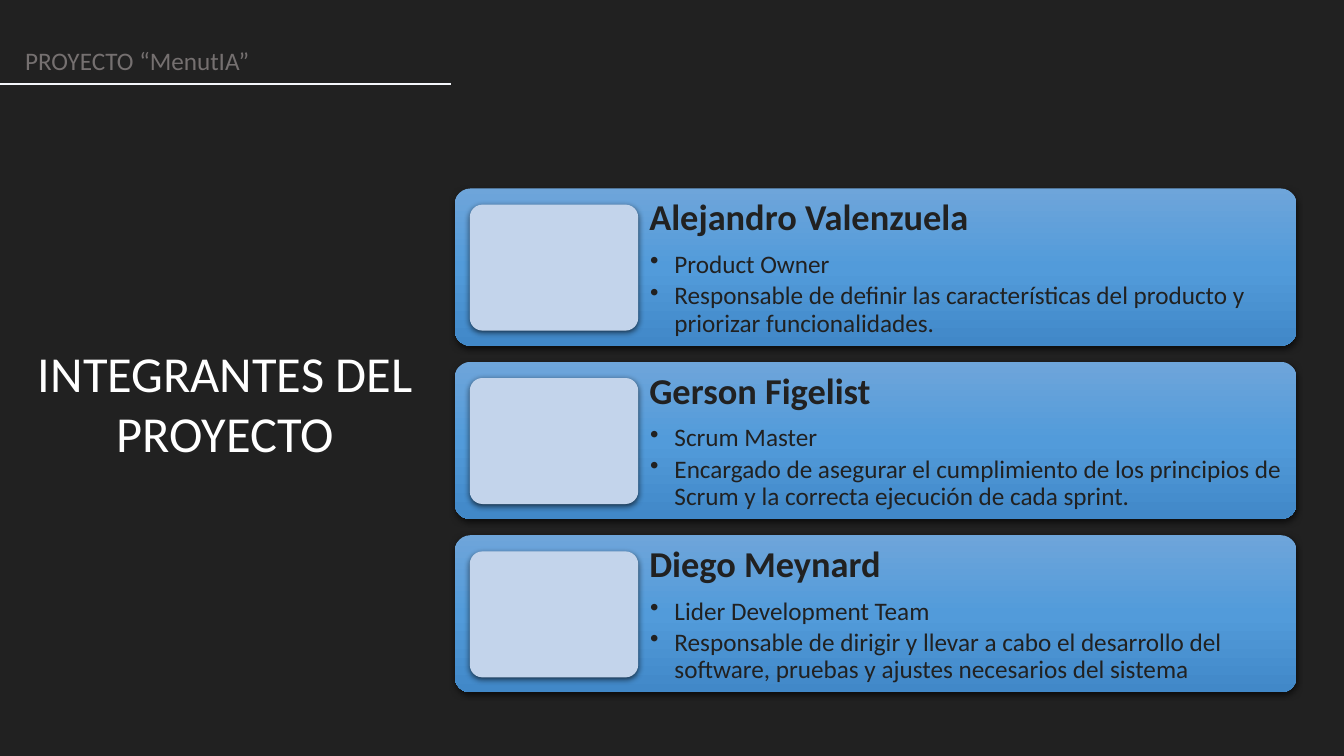
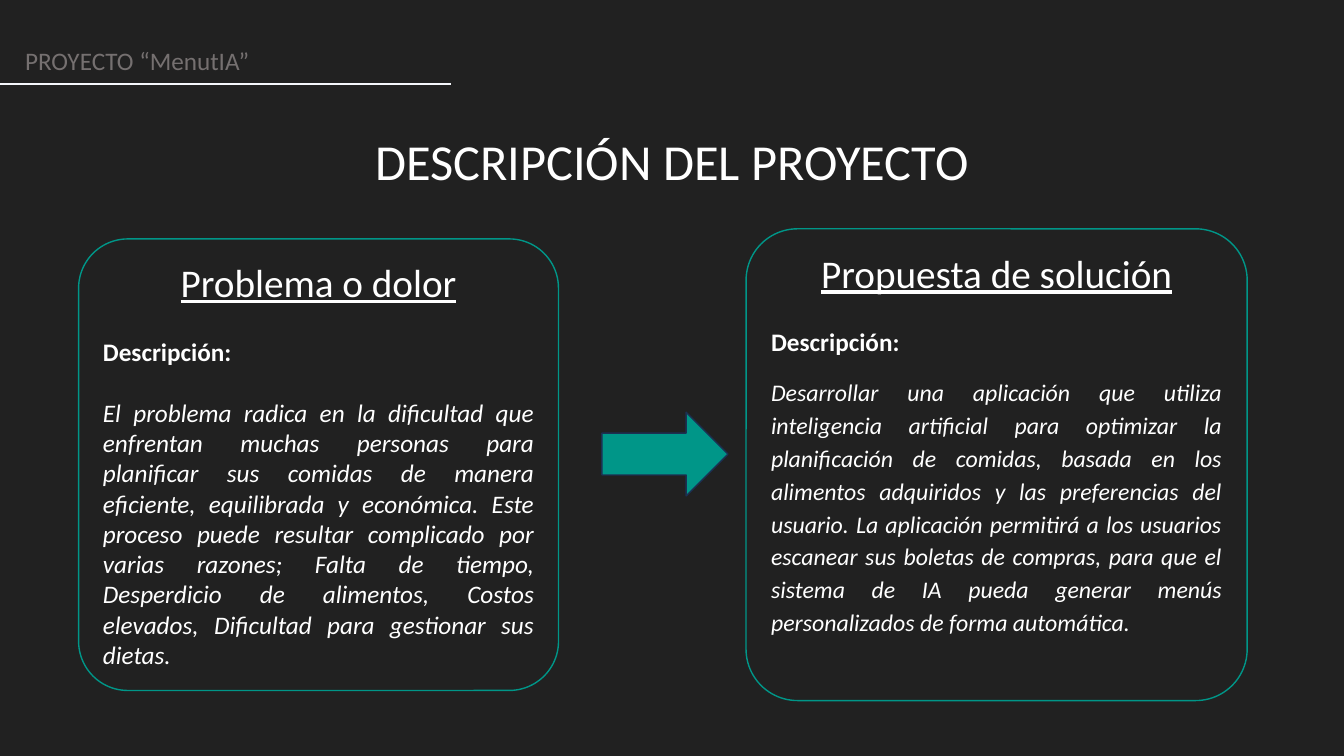
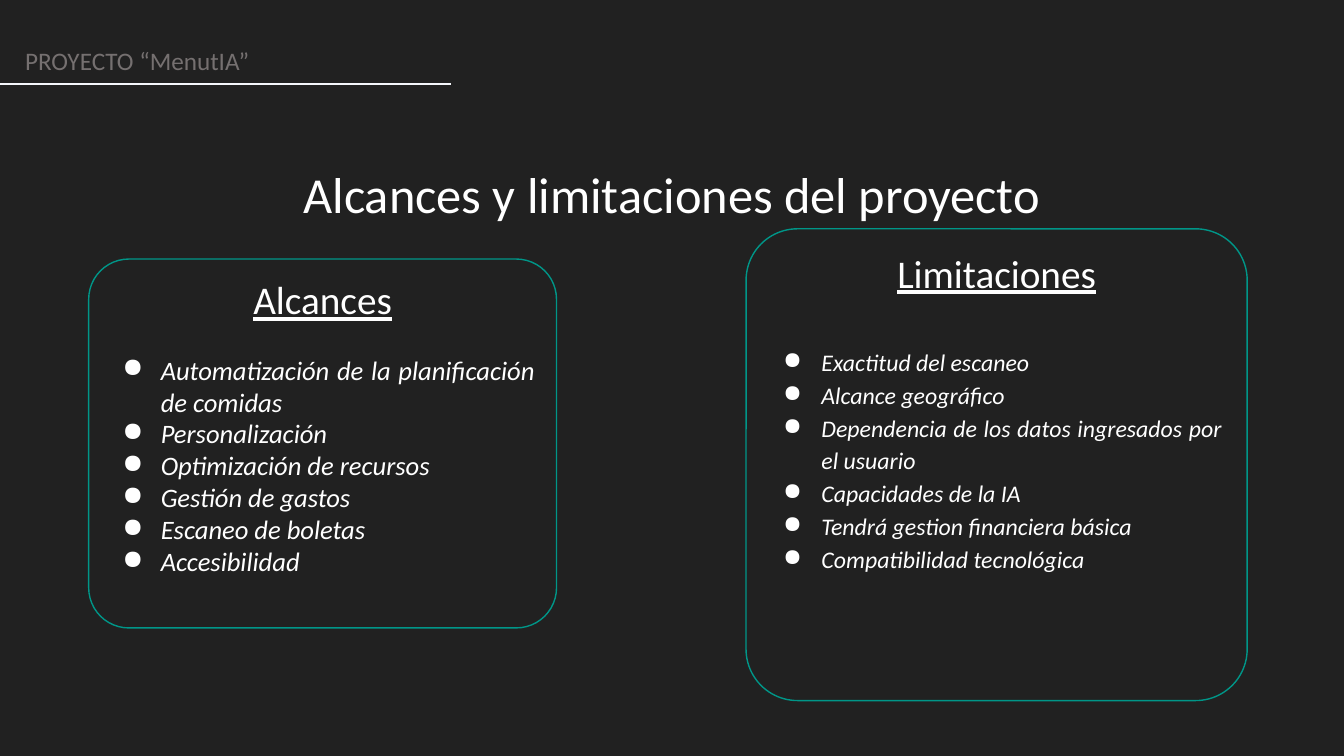
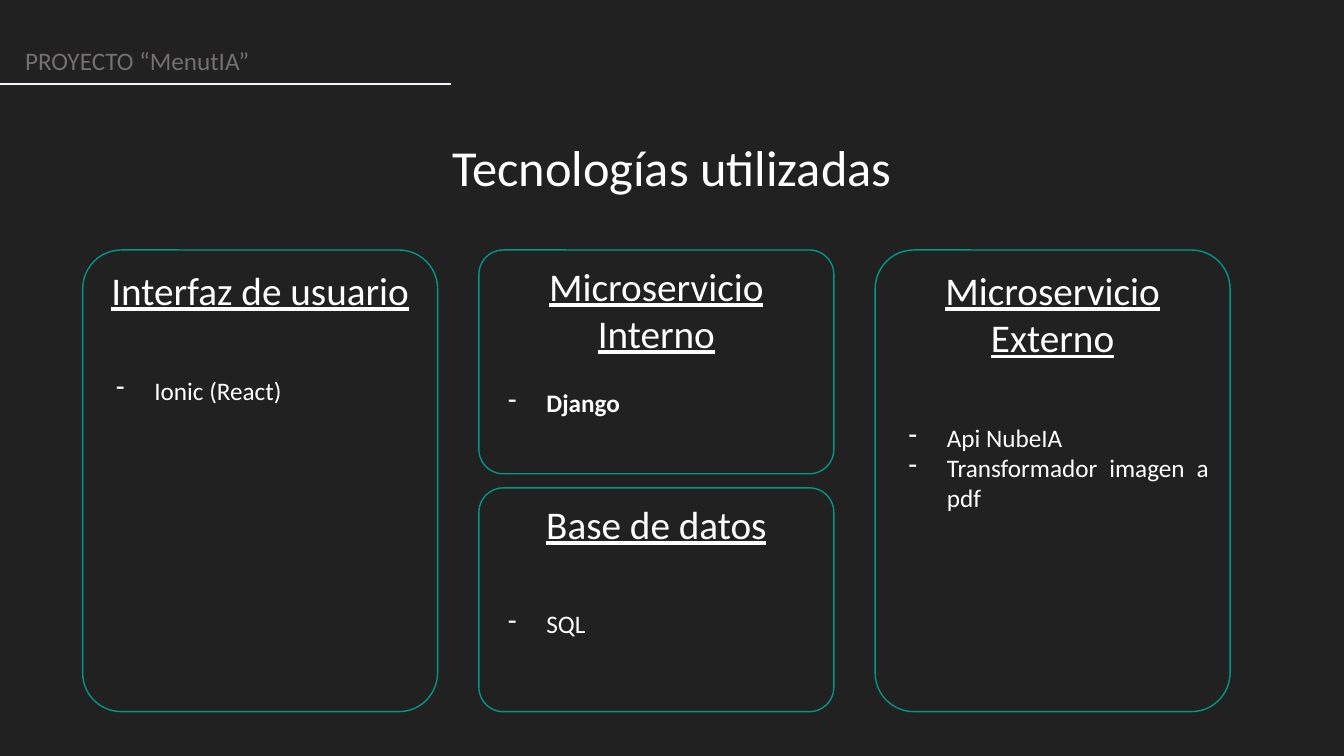
"""Build the four project slides: team, description, scope and technologies."""
from copy import deepcopy

from pptx import Presentation
from pptx import util as u
from pptx.dml.color import RGBColor
from pptx.enum import shapes, text
from pptx.oxml import parse_xml
from pptx.oxml.ns import nsdecls, qn

PX = 9144
FONT = "Calibri"
DARK, WHITE, GREY, RULE = "212121", "FFFFFF", "757070", "F5F7FC"
TEAL, ARROW_EDGE, PHOTO = "009688", "1C3052", "C3D4EB"
CARD_GRADIENT = [(0, "6EA5DA"), (0.5, "529BDA"), (1, "4188C8")]
LEFT, CENTER, JUSTIFY = text.PP_ALIGN.LEFT, text.PP_ALIGN.CENTER, text.PP_ALIGN.JUSTIFY
BOX = shapes.MSO_SHAPE

HEADER = "PROYECTO “MenutIA”"

TEAM_TITLE = ("INTEGRANTES DEL PROYECTO", (26, 334, 395, 131))
TEAM = [
    ("Alejandro Valenzuela", "Product Owner",
     "Responsable de definir las características del producto y priorizar funcionalidades."),
    ("Gerson Figelist", "Scrum Master",
     "Encargado de asegurar el cumplimiento de los principios de Scrum y la correcta ejecución "
     "de cada sprint."),
    ("Diego Meynard", "Lider Development Team",
     "Responsable de dirigir y llevar a cabo el desarrollo del software, pruebas y ajustes "
     "necesarios del sistema"),
]
CARD_LEFT, CARD_TOP, CARD_WIDTH, CARD_HEIGHT, CARD_STEP = 451, 187, 835, 156, 172
PHOTO_MARGIN, PHOTO_WIDTH, PHOTO_HEIGHT = 15, 167, 125

BLANK = 22
LABEL = dict(bold=True, before=BLANK)
PROBLEM = dict(italic=True, before=BLANK)
PROPOSAL = dict(size=17, italic=True, before=12, spacing=1.15)
SCOPE = dict(size=19, italic=True, bullet="●")
LIMIT = dict(size=17, italic=True, bullet="●", spacing=1.15)
TECH = dict(bullet="-")
RIGHT_PANEL = (740, 227, 497, 468)
COLUMN_TOP, COLUMN_WIDTH, COLUMN_HEIGHT, HALF_HEIGHT = 248, 352, 458, 222
COLUMN_LEFTS = [82 + 393 * index for index in range(3)]
LOWER_TOP = COLUMN_TOP + COLUMN_HEIGHT - HALF_HEIGHT

PANEL_PAGES = [
    ("DESCRIPCIÓN DEL PROYECTO", (0, 124, 1333, 71), [
        ((78, 237, 476, 448), "Problema o dolor", [
            ("Descripción:", LABEL),
            ("El problema radica en la dificultad que enfrentan muchas personas para planificar "
             "sus comidas de manera eficiente, equilibrada y económica. Este proceso puede "
             "resultar complicado por varias razones; Falta de tiempo, Desperdicio de alimentos, "
             "Costos elevados, Dificultad para gestionar sus dietas.", PROBLEM)]),
        (RIGHT_PANEL, "Propuesta de solución", [
            ("Descripción:", LABEL),
            ("Desarrollar una aplicación que utiliza inteligencia artificial para optimizar la "
             "planificación de comidas, basada en los alimentos adquiridos y las preferencias "
             "del usuario. La aplicación permitirá a los usuarios escanear sus boletas de "
             "compras, para que el sistema de IA pueda generar menús personalizados de forma "
             "automática.", PROPOSAL)]),
    ], (597, 409, 125, 83)),
    ("Alcances y limitaciones del proyecto", (0, 157, 1333, 71), [
        ((88, 257, 464, 366), "Alcances", [
            ("Automatización de la planificación de comidas", SCOPE | dict(before=BLANK)),
            ("Personalización", SCOPE),
            ("Optimización de recursos", SCOPE),
            ("Gestión de gastos", SCOPE),
            ("Escaneo de boletas", SCOPE),
            ("Accesibilidad", SCOPE)]),
        (RIGHT_PANEL, "Limitaciones", [
            ("Exactitud del escaneo", LIMIT | dict(before=BLANK + 12)),
            ("Alcance geográfico", LIMIT),
            ("Dependencia de los datos ingresados por el usuario", LIMIT),
            ("Capacidades de la IA", LIMIT),
            ("Tendrá gestion financiera básica", LIMIT),
            ("Compatibilidad tecnológica", LIMIT)]),
    ], None),
    ("Tecnologías utilizadas", (0, 130, 1333, 71), [
        ((COLUMN_LEFTS[0], COLUMN_TOP, COLUMN_WIDTH, COLUMN_HEIGHT), "Interfaz de usuario", [
            ("Ionic (React)", TECH | dict(before=2 * BLANK))]),
        ((COLUMN_LEFTS[1], COLUMN_TOP, COLUMN_WIDTH, HALF_HEIGHT), "Microservicio Interno", [
            ("Django", TECH | dict(before=BLANK, bold=True))]),
        ((COLUMN_LEFTS[2], COLUMN_TOP, COLUMN_WIDTH, COLUMN_HEIGHT), "Microservicio Externo", [
            ("Api NubeIA", TECH | dict(before=2 * BLANK)),
            ("Transformador imagen a pdf", TECH)]),
        ((COLUMN_LEFTS[1], LOWER_TOP, COLUMN_WIDTH, HALF_HEIGHT), "Base de datos", [
            ("SQL", TECH | dict(before=2 * BLANK))]),
    ], None),
]


def rgb(color):
    return RGBColor.from_string(color)


def px(*lengths):
    return [length * PX for length in lengths]


def add_text(frame, words, size=18, color=WHITE, bold=False, italic=False, underline=False,
             align=LEFT, before=0, spacing=1.0, bullet=None, margin=50, hang=38):
    para = frame.paragraphs[0]
    if para.runs:
        para = frame.add_paragraph()
    para.alignment = align
    para.space_before = u.Pt(before)
    para.line_spacing = spacing
    span = para.add_run()
    span.text = words
    font = span.font
    font.name, font.size, font.color.rgb = FONT, u.Pt(size), rgb(color)
    font.bold, font.italic, font.underline = bold, italic, underline
    if bullet:
        props = para._p.get_or_add_pPr()
        props.set("marL", str(margin * PX))
        props.set("indent", str(-hang * PX))
        props.append(parse_xml(
            f'<a:buClr {nsdecls("a")}><a:srgbClr val="{color}"/></a:buClr>'))
        props.append(parse_xml(f'<a:buChar {nsdecls("a")} char="{bullet}"/>'))


def set_frame(box, side=10, top=5):
    frame = box.text_frame
    frame.word_wrap = True
    frame.auto_size = text.MSO_AUTO_SIZE.NONE
    frame.vertical_anchor = text.MSO_ANCHOR.TOP
    frame.margin_left, frame.margin_right = px(side, side)
    frame.margin_top, frame.margin_bottom = px(top, top)
    return frame


def add_box(page, kind, at, fill=None, edge=None, corner=None):
    box = page.shapes.add_shape(kind, *px(*at))
    box.shadow.inherit = False
    if corner is not None:
        box.adjustments[0] = corner
    if fill:
        box.fill.solid()
        box.fill.fore_color.rgb = rgb(fill)
    if edge:
        box.line.color.rgb = rgb(edge)
        box.line.width = u.Pt(1)
    else:
        box.line.fill.background()
    return box


def add_shadow(box):
    box._element.spPr.find(qn("a:effectLst")).append(parse_xml(
        f'<a:outerShdw {nsdecls("a")} blurRad="57150" dist="19050" dir="5400000" '
        'algn="ctr" rotWithShape="0"><a:srgbClr val="000000"><a:alpha val="63000"/>'
        '</a:srgbClr></a:outerShdw>'))


def set_gradient(box, colors):
    box.fill.gradient()
    box.fill.gradient_angle = 270
    stop_list = box._element.spPr.find(".//" + qn("a:gsLst"))
    stop_list.insert(1, deepcopy(stop_list[0]))
    for stop, (position, color) in zip(box.fill.gradient_stops, colors):
        stop.position = position
        stop.color.rgb = rgb(color)


def add_page(deck, title, at):
    page = deck.slides.add_slide(deck.slide_layouts[5])
    heading = page.shapes.title
    heading.left, heading.top, heading.width, heading.height = px(*at)
    add_text(set_frame(heading), title, size=36, align=CENTER)
    header = page.shapes.add_textbox(*px(15, 40, 432, 40))
    add_text(set_frame(header), HEADER, color=GREY)
    rule = page.shapes.add_connector(shapes.MSO_CONNECTOR.STRAIGHT, *px(0, 83, 447, 83))
    rule.line.color.rgb = rgb(RULE)
    rule.line.width = u.Pt(1.25)
    rule._element.spPr.append(parse_xml(f'<a:effectLst {nsdecls("a")}/>'))
    return page


def add_member(page, top, name, role, duty):
    card = add_box(page, BOX.ROUNDED_RECTANGLE, (CARD_LEFT, top, CARD_WIDTH, CARD_HEIGHT),
                   corner=0.1)
    set_gradient(card, CARD_GRADIENT)
    add_shadow(card)
    photo_left = CARD_LEFT + PHOTO_MARGIN
    photo_top = top + (CARD_HEIGHT - PHOTO_HEIGHT) // 2 + 1
    photo = add_box(page, BOX.ROUNDED_RECTANGLE,
                    (photo_left, photo_top, PHOTO_WIDTH, PHOTO_HEIGHT), fill=PHOTO, corner=0.1)
    add_shadow(photo)
    words_left = photo_left + PHOTO_WIDTH
    words = page.shapes.add_textbox(
        *px(words_left, top, CARD_LEFT + CARD_WIDTH - words_left, CARD_HEIGHT))
    frame = set_frame(words, side=11, top=11)
    add_text(frame, name, size=26, color=DARK, bold=True, spacing=0.9)
    for line, before in ((role, 9.1), (duty, 3)):
        add_text(frame, line, color=DARK, spacing=0.9, before=before, bullet="•",
                 margin=25, hang=24)


def add_panel(page, at, heading, lines):
    panel = add_box(page, BOX.ROUNDED_RECTANGLE, at, fill=DARK, edge=TEAL, corner=0.109)
    frame = set_frame(panel)
    add_text(frame, heading, size=28, underline=True, align=CENTER)
    for line, style in lines:
        add_text(frame, line, align=JUSTIFY, **style)


def main():
    deck = Presentation()
    deck.slide_width, deck.slide_height = u.Inches(13.33), u.Inches(7.5)
    background = deck.slide_master.background.fill
    background.solid()
    background.fore_color.rgb = rgb(DARK)

    page = add_page(deck, *TEAM_TITLE)
    for index, member in enumerate(TEAM):
        add_member(page, CARD_TOP + index * CARD_STEP, *member)

    for title, title_at, panels, arrow_at in PANEL_PAGES:
        page = add_page(deck, title, title_at)
        for panel in panels:
            add_panel(page, *panel)
        if arrow_at:
            add_box(page, BOX.RIGHT_ARROW, arrow_at, fill=TEAL, edge=ARROW_EDGE)

    deck.save("out.pptx")


if __name__ == "__main__":
    main()
